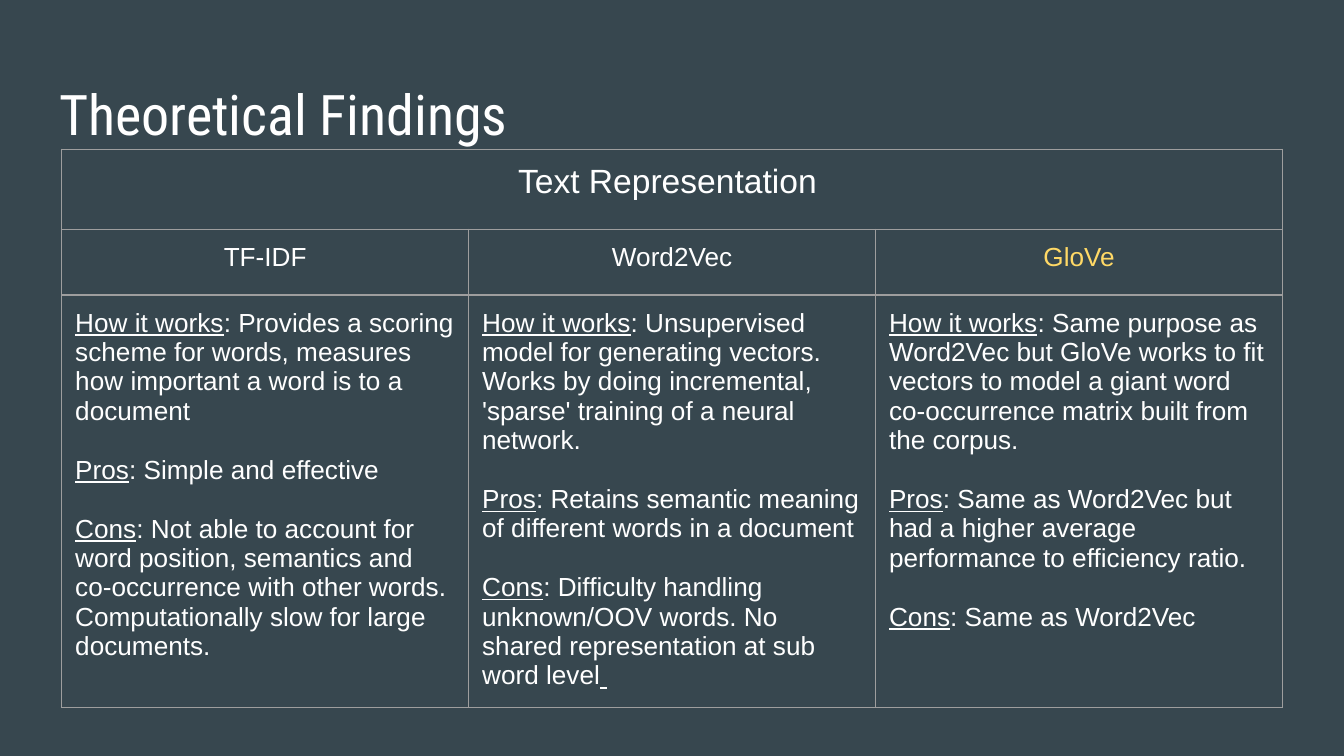
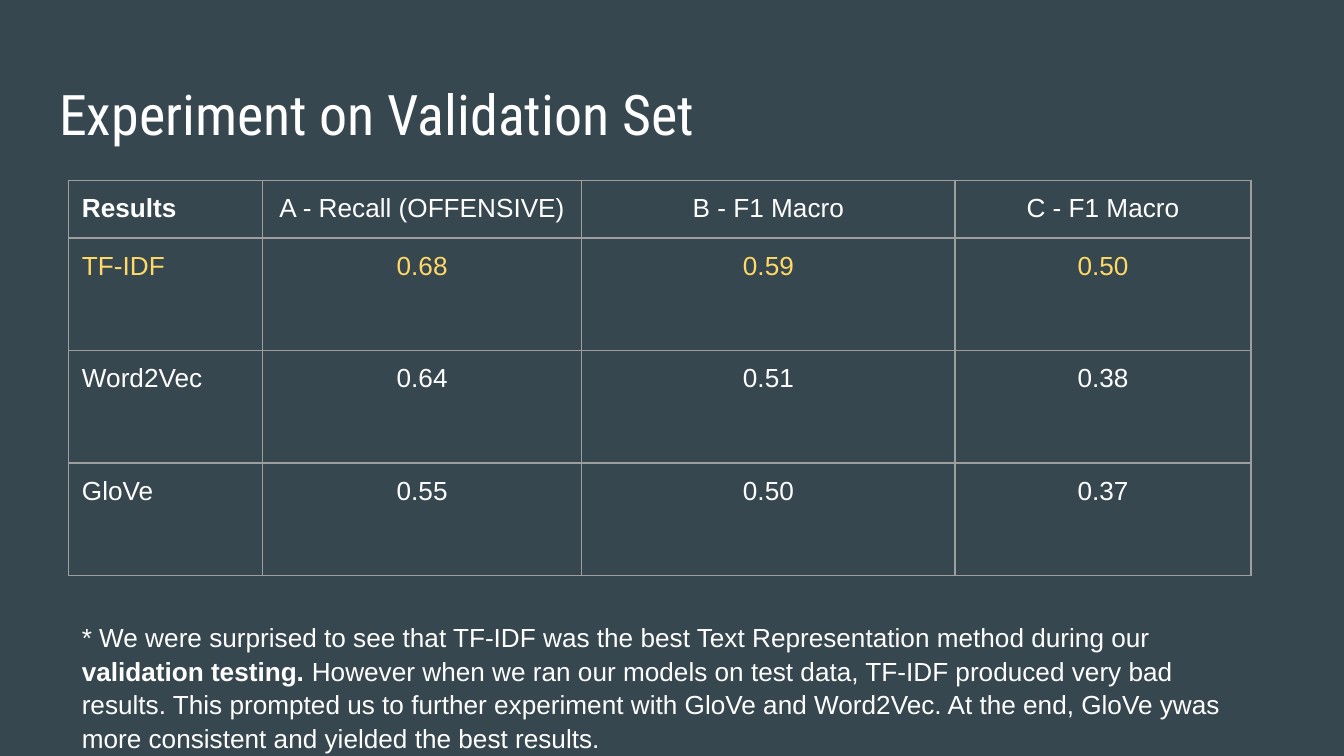
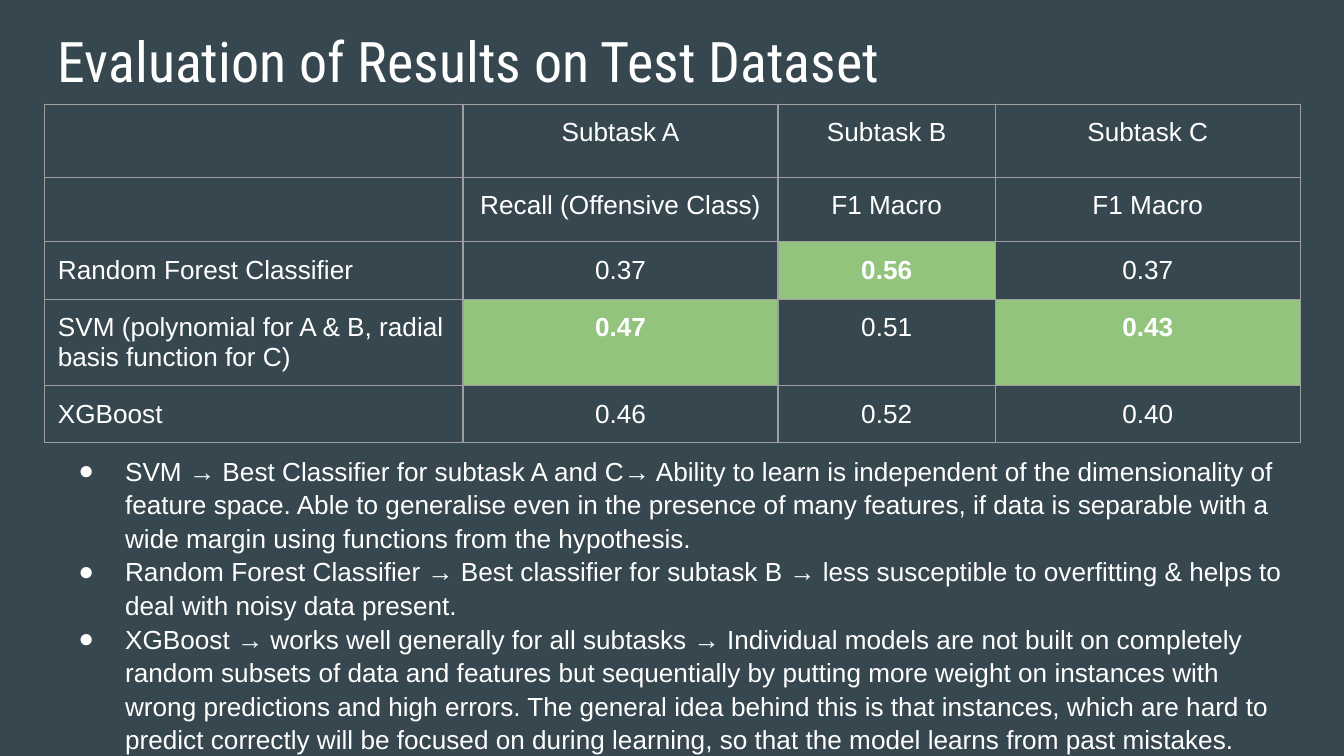
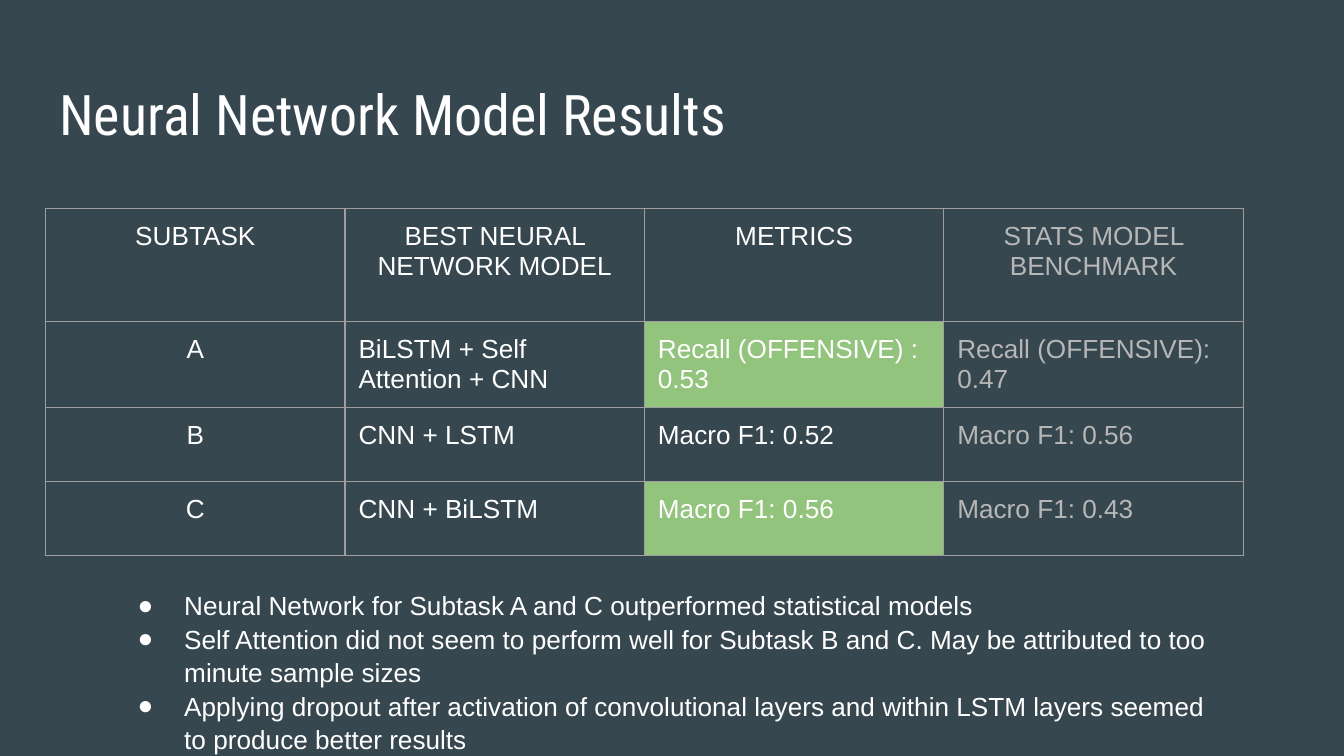
from lxml import etree
from pptx import Presentation
from pptx.dml.color import RGBColor
from pptx.enum.text import MSO_ANCHOR, MSO_AUTO_SIZE, PP_ALIGN
from pptx.oxml.ns import qn
from pptx.util import Pt

LEFT, CENTER = PP_ALIGN.LEFT, PP_ALIGN.CENTER
TOP = MSO_ANCHOR.TOP
NO_AUTOFIT = MSO_AUTO_SIZE.NONE

COLORS = {
    "background": "37474F",
    "text": "FFFFFF",
    "chosen": "FFD966",
    "benchmark": "B7B7B7",
    "best": "93C47D",
    "border": "9E9E9E",
}
TEXT = {"name": "Arial", "size": Pt(14), "color": "text"}
TITLE = {"name": "Roboto Condensed", "size": Pt(30), "color": "text"}
FRAME = {
    "word_wrap": True,
    "auto_size": NO_AUTOFIT,
    "vertical_anchor": TOP,
    "margin_left": Pt(7.2),
    "margin_right": Pt(7.2),
    "margin_top": Pt(7.2),
    "margin_bottom": Pt(7.2),
}
CELL_FRAME = {key: value for key, value in FRAME.items()
              if key not in ("word_wrap", "auto_size")}
TITLE_BOX = (24.5, 35.3, 671, 45.4)
BODY_SPACING = 1.07
PARAGRAPH_GAP = Pt(15.8)
TITLE_AND_CONTENT, TITLE_ONLY = 1, 5


def set_attributes(target, values):
    for name, value in values.items():
        setattr(target, name, value)


def add_run(paragraph, text, style):
    run = paragraph.add_run()
    run.text = text
    values = dict(style)
    run.font.color.rgb = RGBColor.from_string(COLORS[values.pop("color")])
    set_attributes(run.font, values)


def write(frame, paragraphs, style, spacing=1, align=LEFT, gap=Pt(0), bullets=False):
    for index, runs in enumerate(paragraphs):
        paragraph = frame.paragraphs[0] if index == 0 else frame.add_paragraph()
        if bullets:
            add_bullet(paragraph)
        set_attributes(paragraph, {
            "alignment": align,
            "line_spacing": spacing,
            "space_before": gap if index else Pt(0),
            "space_after": Pt(0),
        })
        for text, changes in runs:
            add_run(paragraph, text, {**style, **changes})


def add_bullet(paragraph):
    properties = paragraph._p.get_or_add_pPr()
    properties.set("marL", str(Pt(36)))
    properties.set("indent", str(-Pt(25)))
    color = etree.SubElement(properties, qn("a:buClr"))
    etree.SubElement(color, qn("a:srgbClr"), val=COLORS["text"])
    etree.SubElement(properties, qn("a:buFont"), typeface="Arial")
    etree.SubElement(properties, qn("a:buChar"), char="●")


def place(shape, box):
    set_attributes(shape, dict(zip(("left", "top", "width", "height"), map(Pt, box))))
    set_attributes(shape.text_frame, FRAME)


def add_slide(presentation, title, layout=TITLE_ONLY, box=TITLE_BOX):
    slide = presentation.slides.add_slide(presentation.slide_layouts[layout])
    place(slide.shapes.title, box)
    write(slide.shapes.title.text_frame, [[(title, {})]], TITLE)
    return slide


def add_list(slide, box, items):
    body = slide.placeholders[1]
    place(body, box)
    write(body.text_frame, [[(item, {})] for item in items], TEXT,
          BODY_SPACING, bullets=True)


def add_note(slide, box, runs):
    note = slide.shapes.add_textbox(0, 0, 0, 0)
    place(note, box)
    write(note.text_frame, [runs], TEXT, BODY_SPACING)


def draw_borders(cell):
    properties = cell._tc.get_or_add_tcPr()
    for side in ("lnL", "lnR", "lnT", "lnB"):
        line = etree.SubElement(properties, qn("a:" + side), w=str(Pt(0.75)))
        fill = etree.SubElement(line, qn("a:solidFill"))
        etree.SubElement(fill, qn("a:srgbClr"), val=COLORS["border"])


def add_grid(slide, left, top, widths, heights):
    table = slide.shapes.add_table(
        len(heights), len(widths), Pt(left), Pt(top),
        Pt(sum(widths)), Pt(sum(heights))).table
    table.first_row = table.horz_banding = False
    for column, width in zip(table.columns, widths):
        column.width = Pt(width)
    for row, height in zip(table.rows, heights):
        row.height = Pt(height)
    for cell in table.iter_cells():
        draw_borders(cell)
        cell.fill.background()
        set_attributes(cell, CELL_FRAME)
    return table


def fill_cell(cell, text, align=LEFT, **changes):
    lines = [[(line, {})] for line in text.split("\n")]
    write(cell.text_frame, lines, {**TEXT, **changes}, align=align)


def highlight(cell):
    cell.fill.solid()
    cell.fill.fore_color.rgb = RGBColor.from_string(COLORS["best"])


def add_findings(presentation):
    slide = add_slide(presentation, "Theoretical Findings")
    table = add_grid(slide, 33.1, 80, [218] * 3, [42.8, 35.3, 221])
    table.cell(0, 0).merge(table.cell(0, 2))
    fill_cell(table.cell(0, 0), "Text Representation ", CENTER, size=Pt(18))
    labels = ("How it works", "Pros", "Cons")
    methods = {
        "TF-IDF": (
            "Provides a scoring scheme for words, measures how important a word is to a document",
            "Simple and effective",
            "Not able to account for word position, semantics and co-occurrence with other words. "
            "Computationally slow for large documents."),
        "Word2Vec": (
            "Unsupervised model for generating vectors. Works by doing incremental, "
            "'sparse' training of a neural network.",
            "Retains semantic meaning of different words in a document",
            "Difficulty handling unknown/OOV words. No shared representation at sub word level"),
        "GloVe": (
            "Same purpose as Word2Vec but GloVe works to fit vectors to model a giant word "
            "co-occurrence matrix built from the corpus.",
            "Same as Word2Vec but had a higher average performance to efficiency ratio.",
            "Same as Word2Vec"),
    }
    for column, (method, details) in enumerate(methods.items()):
        color = "chosen" if method == "GloVe" else "text"
        fill_cell(table.cell(1, column), method, CENTER, color=color)
        paragraphs = [[(label, {"underline": True}), (": " + detail, {})]
                      for label, detail in zip(labels, details)]
        if method == "Word2Vec":
            paragraphs[-1].append((" ", {"underline": True}))
        write(table.cell(2, column).text_frame, paragraphs, TEXT, gap=PARAGRAPH_GAP)


def add_validation(presentation):
    slide = add_slide(presentation, "Experiment on Validation Set")
    table = add_grid(slide, 36.7, 96.5, [104, 171, 200, 158.5], [31] + [60.3] * 3)
    rows = [
        ("Results", "A - Recall (OFFENSIVE)", "B - F1 Macro", "C - F1 Macro"),
        ("TF-IDF", "0.68", "0.59", "0.50"),
        ("Word2Vec", "0.64", "0.51", "0.38"),
        ("GloVe", "0.55", "0.50", "0.37"),
    ]
    for row, texts in enumerate(rows):
        for column, text in enumerate(texts):
            fill_cell(table.cell(row, column), text, CENTER if column else LEFT,
                      color="chosen" if row == 1 else "text", bold=text == "Results")
    add_note(slide, (36.7, 324.7, 633, 65.5), [
        ("* We were surprised to see that TF-IDF was the best Text Representation method "
         "during our ", {}),
        ("validation testing.", {"bold": True}),
        (" However when we ran our models on test data, TF-IDF produced very bad results. "
         "This prompted us to further experiment with GloVe and Word2Vec. At the end, "
         "GloVe ywas more consistent and yielded the best results.", {}),
    ])


def add_evaluation(presentation):
    slide = add_slide(presentation, "Evaluation of Results on Test Dataset",
                      TITLE_AND_CONTENT, (23.8, 7.2, 461, 41))
    table = add_grid(slide, 23.8, 56, [224.3, 168.7, 116.5, 163.3],
                     [39, 34.2, 31, 46.2, 30])
    rows = [
        ("", "Subtask A", "Subtask B", "Subtask C"),
        ("", "Recall (Offensive Class)", "F1 Macro", "F1 Macro"),
        ("Random Forest Classifier", "0.37", "0.56", "0.37"),
        ("SVM (polynomial for A & B, radial basis function for C)", "0.47", "0.51", "0.43"),
        ("XGBoost", "0.46", "0.52", "0.40"),
    ]
    best = {(2, 2), (3, 1), (3, 3)}
    for row, texts in enumerate(rows):
        for column, text in enumerate(texts):
            cell = table.cell(row, column)
            fill_cell(cell, text, CENTER if column else LEFT, bold=(row, column) in best)
            if (row, column) in best:
                highlight(cell)
    add_list(slide, (23.8, 235.5, 672.5, 168), [
        "SVM → Best Classifier for subtask A and C→ Ability to learn is independent of the "
        "dimensionality of feature space. Able to generalise even in the presence of many "
        "features, if data is separable with a wide margin using functions from the hypothesis.",
        "Random Forest Classifier → Best classifier for subtask B → less susceptible to "
        "overfitting & helps to deal with noisy data present.",
        "XGBoost → works well generally for all subtasks → Individual models are not built on "
        "completely random subsets of data and features but sequentially by putting more weight "
        "on instances with wrong predictions and high errors. The general idea behind this is "
        "that instances, which are hard to predict correctly will be focused on during learning, "
        "so that the model learns from past mistakes.",
    ])


def add_neural_results(presentation):
    slide = add_slide(presentation, "Neural Network Model Results", TITLE_AND_CONTENT)
    table = add_grid(slide, 24.5, 111.7, [160.4] * 4, [60.5, 46, 39.7, 39.7])
    rows = [
        ("SUBTASK", "BEST NEURAL NETWORK MODEL", "METRICS", "STATS MODEL BENCHMARK"),
        ("A", "BiLSTM + Self Attention + CNN", "Recall (OFFENSIVE) : 0.53",
         "Recall (OFFENSIVE):\n0.47"),
        ("B", "CNN + LSTM", "Macro F1: 0.52", "Macro F1: 0.56"),
        ("C", "CNN + BiLSTM", "Macro F1: 0.56", "Macro F1: 0.43"),
    ]
    for row, texts in enumerate(rows):
        for column, text in enumerate(texts):
            fill_cell(table.cell(row, column), text,
                      CENTER if row == 0 or column == 0 else LEFT,
                      color="benchmark" if column == 3 else "text")
    for row in (1, 3):
        highlight(table.cell(row, 2))
    add_list(slide, (55.5, 307.5, 608.5, 98), [
        "Neural Network for Subtask A and C outperformed statistical models",
        "Self Attention did not seem to perform well for Subtask B and C. May be attributed "
        "to too minute sample sizes",
        "Applying dropout after activation of convolutional layers and within LSTM layers "
        "seemed to produce better results",
    ])


def main():
    presentation = Presentation()
    presentation.slide_width, presentation.slide_height = Pt(720), Pt(405)
    background = presentation.slide_master.background.fill
    background.solid()
    background.fore_color.rgb = RGBColor.from_string(COLORS["background"])
    add_findings(presentation)
    add_validation(presentation)
    add_evaluation(presentation)
    add_neural_results(presentation)
    presentation.save("out.pptx")


if __name__ == "__main__":
    main()
